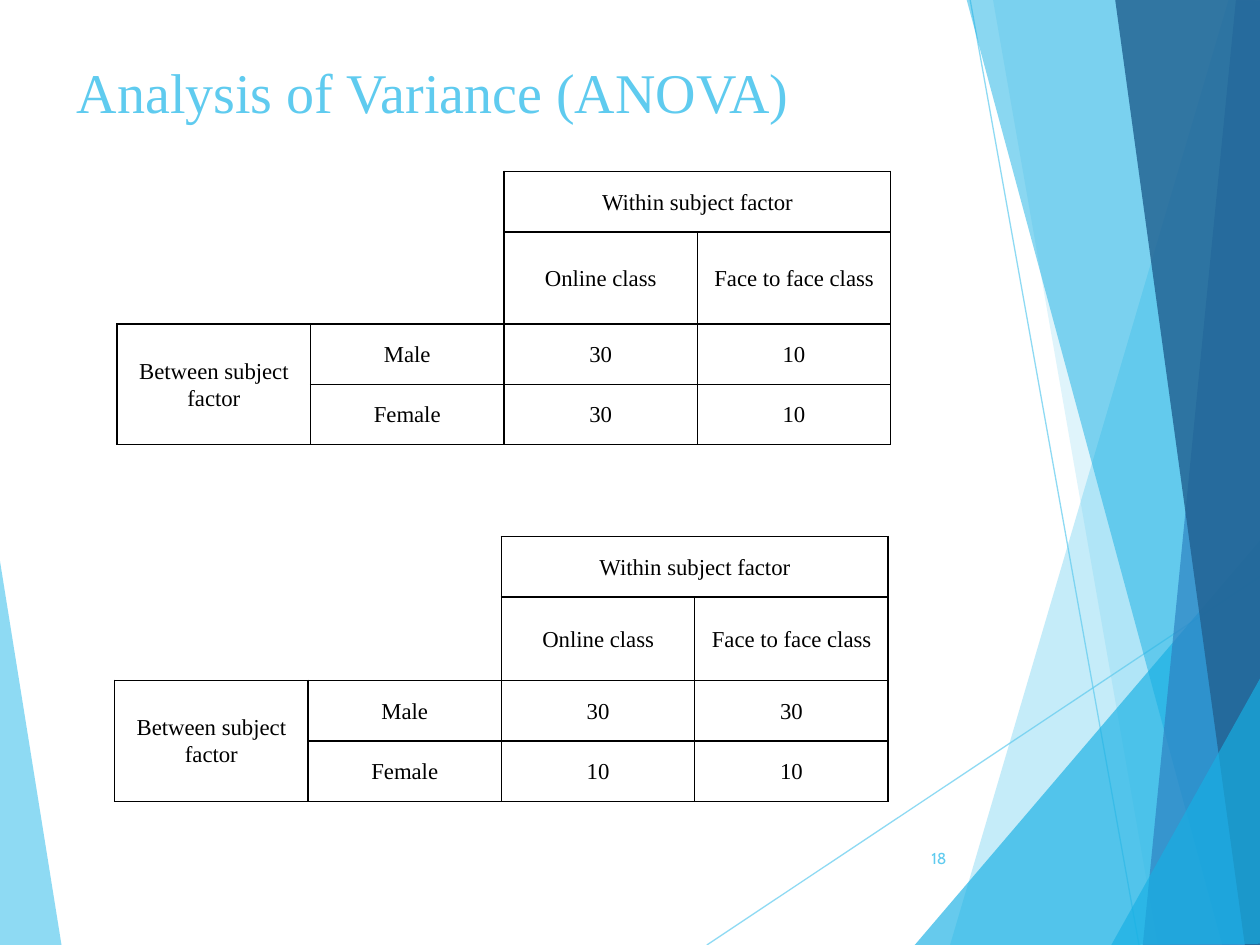
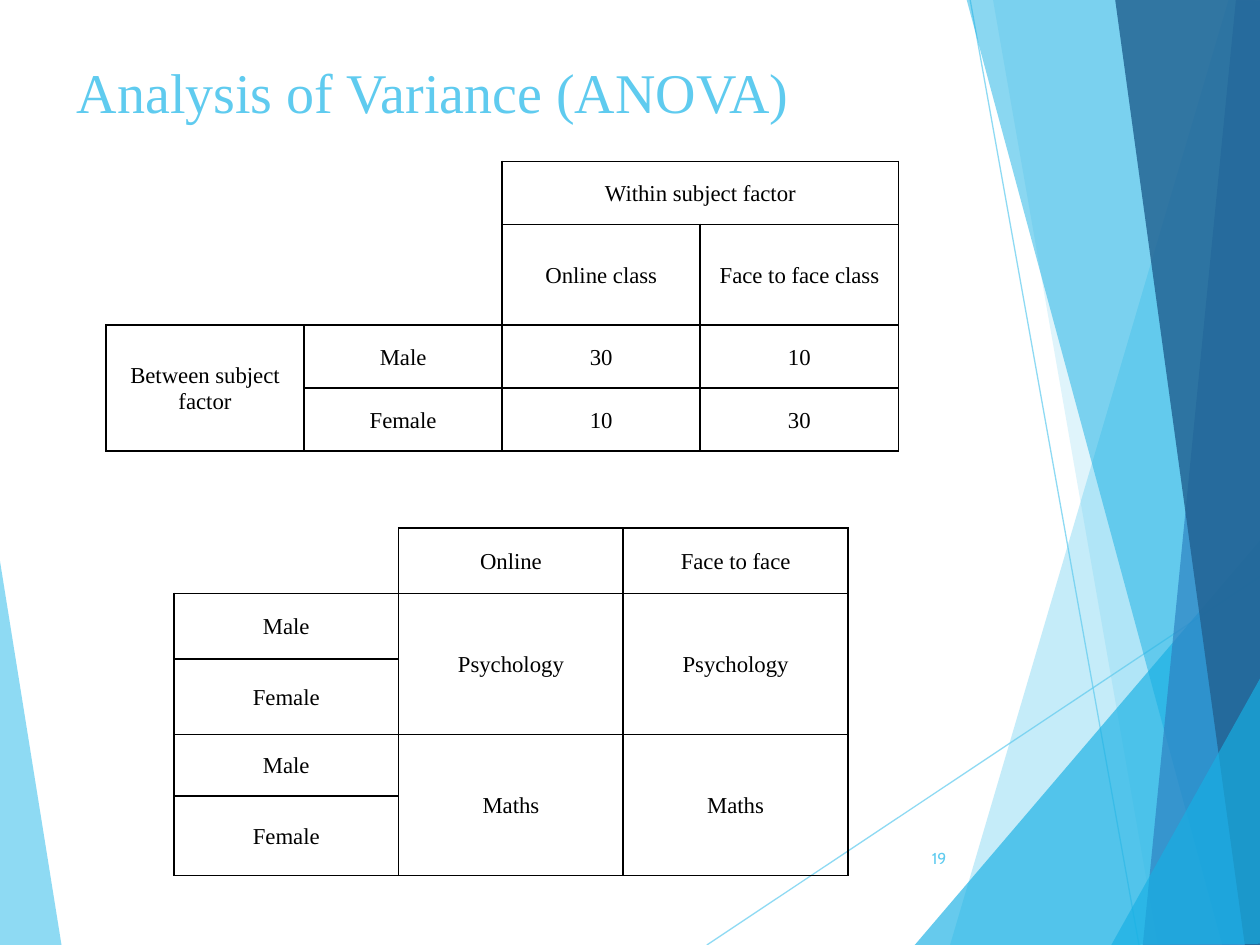
from dataclasses import dataclass

from lxml.etree import SubElement
from pptx import Presentation
from pptx.dml.color import RGBColor
from pptx.enum.shapes import MSO_CONNECTOR
from pptx.enum.text import MSO_ANCHOR, MSO_AUTO_SIZE, PP_ALIGN
from pptx.oxml.ns import qn
from pptx.slide import Slide, SlideLayout
from pptx.util import Inches, Pt

Point = tuple[float, float]
Position = tuple[int, int]


@dataclass(frozen=True)
class Theme:
    sky: str = "5FCBEF"
    cyan: str = "17B0E4"
    blue: str = "2E83C3"
    navy: str = "226292"
    ink: str = "000000"
    text_font: str = "Times New Roman"
    number_font: str = "Cabin"
    title_size: float = 32
    table_size: float = 13
    number_size: float = 9
    facet_line: float = 0.75
    border: float = 1


THEME = Theme()


@dataclass(frozen=True)
class Facet:
    color: str
    opacity: int
    points: list[Point]


@dataclass(frozen=True)
class FacetLine:
    start: Point
    end: Point


@dataclass(frozen=True)
class DesignTable:
    left: float
    top: float
    width: float
    row_heights: list[float]
    rows: list[list[str]]
    corner: Position  # rows and columns of the open corner
    merges: list[tuple[Position, Position]]


@dataclass(frozen=True)
class DesignSlide:
    number: int
    tables: list[DesignTable]


# Decoration, from back to front
DECORATION: list[Facet | FacetLine] = [
    Facet(THEME.sky, 70, [(-0.01, 4.39), (0.49, 7.51), (-0.01, 7.5)]),
    FacetLine((5.61, 7.5), (10.01, 4.57)),
    FacetLine((7.7, 0), (9.04, 7.5)),
    Facet(THEME.sky, 36, [(9.75, 0), (7.54, 7.5), (10.02, 7.51), (10.01, 0.01)]),
    Facet(THEME.sky, 20, [(7.88, -0.01), (9.19, 7.5), (10.01, 7.5), (10.01, -0.01)]),
    Facet(THEME.cyan, 66, [(7.26, 7.5), (10, 4.29), (10.01, 7.5)]),
    Facet(THEME.cyan, 50, [(7.67, -0.01), (9.7, 7.5), (10.01, 7.49), (10.01, -0.01)]),
    Facet(THEME.blue, 70, [(9.81, -0.01), (9.07, 7.5), (10.01, 7.5), (10, -0.01)]),
    Facet(THEME.navy, 82, [(8.85, -0.01), (9.88, 7.5), (10.02, 7.5), (10, -0.01)]),
    Facet(THEME.cyan, 66, [(8.82, 7.5), (10.02, 5.35), (10.02, 7.49)]),
]


def factorial_table(left: float, top: float, width: float, row_height: float,
                    label_height: float, male: list[str], female: list[str]) -> DesignTable:
    """A two-by-two design with a within and a between subject factor."""
    return DesignTable(
        left, top, width,
        [row_height, label_height, row_height, row_height],
        [["", "", "Within subject factor", ""],
         ["", "", "Online class", "Face to face class"],
         ["Between subject factor", "Male", *male],
         ["", "Female", *female]],
        corner=(2, 2),
        merges=[((0, 2), (0, 3)), ((2, 0), (3, 0))],
    )


SUBJECT_TABLE = DesignTable(
    1.38, 4.19, 5.35,
    [0.52, 0.52, 0.6, 0.49, 0.63],
    [["", "Online", "Face to face"],
     ["Male", "Psychology", "Psychology"],
     ["Female", "", ""],
     ["Male", "Maths", "Maths"],
     ["Female", "", ""]],
    corner=(1, 1),
    merges=[((row, column), (row + 1, column)) for row in (1, 3) for column in (1, 2)],
)

SLIDES = [
    DesignSlide(18, [
        factorial_table(0.93, 1.36, 6.14, 0.48, 0.73, ["30", "10"], ["30", "10"]),
        factorial_table(0.91, 4.26, 6.14, 0.48, 0.66, ["30", "30"], ["10", "10"]),
    ]),
    DesignSlide(19, [
        factorial_table(0.84, 1.28, 6.29, 0.5, 0.8, ["30", "10"], ["10", "30"]),
        SUBJECT_TABLE,
    ]),
]


def style_text(paragraph, size: float, color: str, font: str, alignment) -> None:
    paragraph.alignment = alignment
    for run in paragraph.runs:
        run.font.size = Pt(size)
        run.font.name = font
        run.font.color.rgb = RGBColor.from_string(color)


def set_opacity(shape, opacity: int) -> None:
    for color in shape.element.spPr.iter(qn("a:srgbClr")):
        SubElement(color, qn("a:alpha")).set("val", str(opacity * 1000))


def draw_facet(slide: Slide, facet: Facet):
    points = [(Inches(x), Inches(y)) for x, y in facet.points]
    builder = slide.shapes.build_freeform(*points[0])
    builder.add_line_segments(points[1:], close=True)
    shape = builder.convert_to_shape()
    shape.shadow.inherit = False
    shape.fill.solid()
    shape.fill.fore_color.rgb = RGBColor.from_string(facet.color)
    shape.line.fill.background()
    set_opacity(shape, facet.opacity)
    return shape


def draw_facet_line(slide: Slide, line: FacetLine):
    connector = slide.shapes.add_connector(
        MSO_CONNECTOR.STRAIGHT, *(Inches(value) for value in (*line.start, *line.end)))
    connector.line.width = Pt(THEME.facet_line)
    connector.line.color.rgb = RGBColor.from_string(THEME.sky)
    set_opacity(connector, 70)
    SubElement(connector.element.spPr, qn("a:effectLst"))
    return connector


def decorate_layout(layout: SlideLayout, slide: Slide) -> None:
    """Draw the decoration on a slide and move it to the shared layout."""
    for index, item in enumerate(DECORATION):
        if isinstance(item, Facet):
            shape = draw_facet(slide, item)
        else:
            shape = draw_facet_line(slide, item)
        shape.element.xpath(".//p:cNvPr")[0].set("id", str(100 + index))
        layout.shapes.element.append(shape.element)


def set_borders(cell, open_corner: bool) -> None:
    properties = cell._tc.get_or_add_tcPr()
    for side in ("lnL", "lnR", "lnT", "lnB"):
        line = SubElement(properties, qn(f"a:{side}"))
        if open_corner and side in ("lnL", "lnT"):
            SubElement(line, qn("a:noFill"))
            continue
        line.set("w", str(Pt(THEME.border)))
        fill = SubElement(line, qn("a:solidFill"))
        SubElement(fill, qn("a:srgbClr")).set("val", THEME.ink)


def draw_table(slide: Slide, design: DesignTable) -> None:
    row_count, column_count = len(design.rows), len(design.rows[0])
    table = slide.shapes.add_table(
        row_count, column_count, Inches(design.left), Inches(design.top),
        Inches(design.width), Inches(sum(design.row_heights))).table
    table.first_row = table.horz_banding = False
    for row, height in zip(table.rows, design.row_heights):
        row.height = Inches(height)

    corner_rows, corner_columns = design.corner
    for row_index, texts in enumerate(design.rows):
        for column_index, text in enumerate(texts):
            cell = table.cell(row_index, column_index)
            in_corner = row_index < corner_rows and column_index < corner_columns
            set_borders(cell, in_corner)
            cell.fill.background()
            cell.vertical_anchor = MSO_ANCHOR.MIDDLE
            cell.margin_left = cell.margin_right = Inches(0.07)
            cell.margin_top = cell.margin_bottom = 0
            if text:
                cell.text_frame.text = text
                paragraph = cell.text_frame.paragraphs[0]
                paragraph.line_spacing = 1.07
                style_text(paragraph, THEME.table_size, THEME.ink,
                           THEME.text_font, PP_ALIGN.CENTER)

    merges = list(design.merges)
    if design.corner != (1, 1):
        merges.append(((0, 0), (corner_rows - 1, corner_columns - 1)))
    for first, last in merges:
        table.cell(*first).merge(table.cell(*last))


def draw_title(slide: Slide) -> None:
    title = slide.shapes.title
    title.left, title.top = Inches(0.51), Inches(0.36)
    title.width, title.height = Inches(6.94), Inches(0.48)
    text_frame = title.text_frame
    text_frame.text = "Analysis of Variance (ANOVA)"
    text_frame.auto_size = MSO_AUTO_SIZE.NONE
    text_frame.vertical_anchor = MSO_ANCHOR.TOP
    text_frame.margin_top = Inches(0.1)
    style_text(text_frame.paragraphs[0], THEME.title_size, THEME.sky,
               THEME.text_font, PP_ALIGN.LEFT)


def draw_number(slide: Slide, number: int) -> None:
    box = slide.shapes.add_textbox(Inches(7.05), Inches(6.61), Inches(0.56), Inches(0.4))
    text_frame = box.text_frame
    text_frame.word_wrap = True
    text_frame.vertical_anchor = MSO_ANCHOR.MIDDLE
    text_frame.text = str(number)
    style_text(text_frame.paragraphs[0], THEME.number_size, THEME.sky,
               THEME.number_font, PP_ALIGN.RIGHT)


def main() -> None:
    presentation = Presentation()
    presentation.slide_width, presentation.slide_height = Inches(10), Inches(7.5)
    layout = presentation.slide_layouts.get_by_name("Title Only")
    for index, content in enumerate(SLIDES):
        slide = presentation.slides.add_slide(layout)
        if index == 0:
            decorate_layout(layout, slide)
        draw_title(slide)
        draw_number(slide, content.number)
        for design in content.tables:
            draw_table(slide, design)
    presentation.save("out.pptx")


if __name__ == "__main__":
    main()
